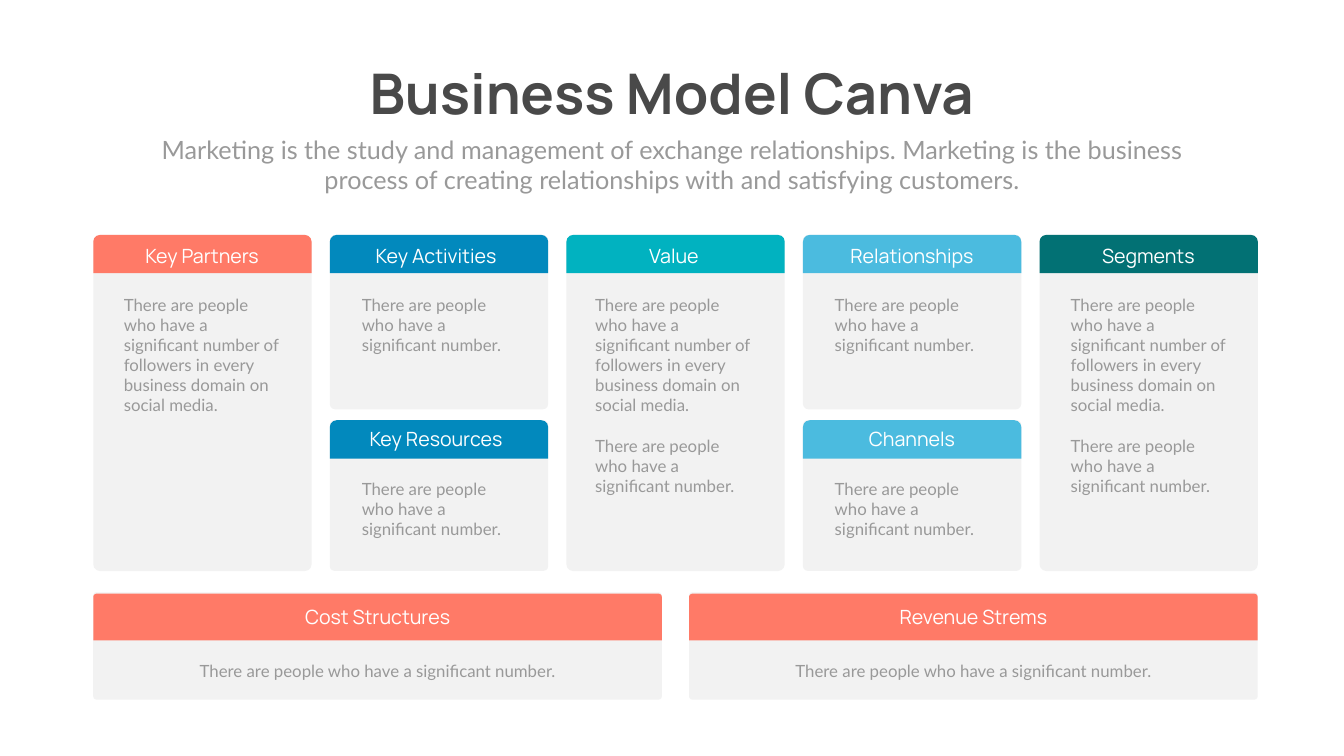
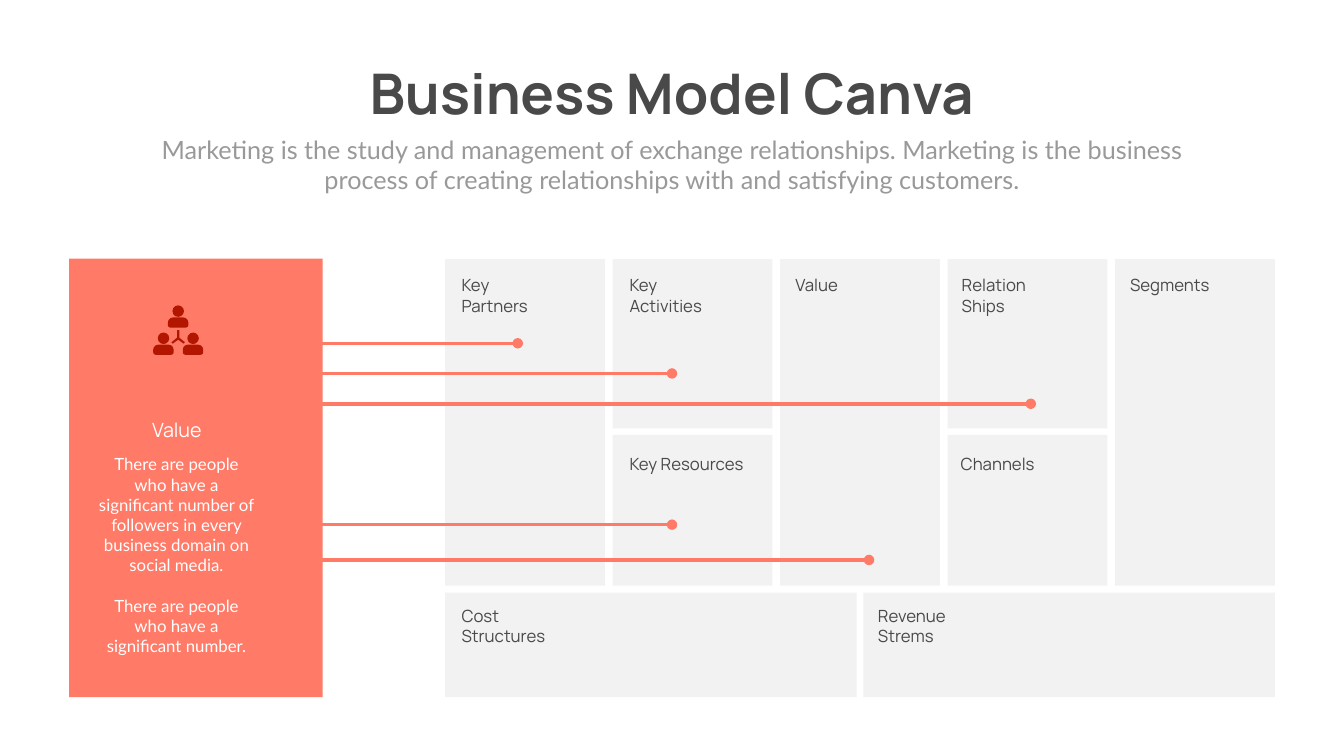
import pptx
import pptx.dml.color
import pptx.enum.shapes
import pptx.enum.text
import pptx.oxml.ns
import pptx.util
from lxml import etree

Cm = pptx.util.Cm
Pt = pptx.util.Pt
RGBColor = pptx.dml.color.RGBColor
SHAPES = pptx.enum.shapes.MSO_SHAPE
ALIGN = pptx.enum.text.PP_ALIGN

WHITE = RGBColor(0xFF, 0xFF, 0xFF)
DARK = RGBColor(0x49, 0x49, 0x49)
GREY = RGBColor(0x99, 0x99, 0x99)
PALE = RGBColor(0xF2, 0xF2, 0xF2)
CORAL = RGBColor(0xFF, 0x7A, 0x67)
BLUE = RGBColor(0x02, 0x89, 0xBD)
TURQUOISE = RGBColor(0x01, 0xB2, 0xC0)
SKY = RGBColor(0x4B, 0xBB, 0xDF)
GREEN = RGBColor(0x02, 0x71, 0x74)
RED = RGBColor(0xB3, 0x16, 0x00)

HEADING_FONT = "Manrope"
BODY_FONT = "Lato"
PARAGRAPH_GAP = 29

TITLE = "Business Model Canva"
SUBTITLE = ("Marketing is the study and management of exchange relationships. "
            "Marketing is the business process of creating relationships with "
            "and satisfying customers.")
LONG = ("There are people who have a significant number of followers in every "
        "business domain on social media.")
SHORT = "There are people who have a significant number."


def add_text(slide, box, paragraphs, size, font, color, align=ALIGN.LEFT, bold=False):
    frame = slide.shapes.add_textbox(*map(Cm, box)).text_frame
    frame.word_wrap = True
    for index, text in enumerate(paragraphs):
        paragraph = frame.add_paragraph() if index else frame.paragraphs[0]
        paragraph.alignment = align
        if index:
            paragraph.space_before = Pt(PARAGRAPH_GAP)
        run = paragraph.add_run()
        run.text = text
        run.font.size = Pt(size)
        run.font.name = font
        run.font.bold = bold
        run.font.color.rgb = color


def paint(shape, color):
    shape.shadow.inherit = False
    shape.fill.solid()
    shape.fill.fore_color.rgb = color
    shape.line.fill.background()


def add_block(slide, kind, box, color, adjustments=()):
    shape = slide.shapes.add_shape(kind, *map(Cm, box))
    for index, value in enumerate(adjustments):
        shape.adjustments[index] = value
    paint(shape, color)


def add_panel(slide, box, color=PALE, rounding=0):
    add_block(slide, SHAPES.ROUNDED_RECTANGLE, box, color, [rounding])


def add_card(slide, box, header_box, header_rounding, color):
    add_panel(slide, box, rounding=0.031)
    add_block(slide, SHAPES.ROUND_2_SAME_RECTANGLE, header_box, color, [header_rounding, 0])


def add_label(slide, box, text):
    add_text(slide, box, [text], 28, HEADING_FONT, WHITE, ALIGN.CENTER)


def add_pointer(slide, start, end, top):
    connector = slide.shapes.add_connector(
        pptx.enum.shapes.MSO_CONNECTOR.STRAIGHT, Cm(start), Cm(top), Cm(end), Cm(top))
    connector.line.color.rgb = CORAL
    connector.line.width = Pt(5)
    qn = pptx.oxml.ns.qn
    etree.SubElement(connector.line._get_or_add_ln(), qn("a:tailEnd"), type="oval")
    etree.SubElement(connector._element.spPr, qn("a:effectLst"))


def add_team_icon(slide):
    for left, top in [(8.69, 15.39), (7.95, 16.76), (9.44, 16.76)]:
        add_block(slide, SHAPES.OVAL, (left, top, 0.58, 0.58), RED)
        add_block(slide, SHAPES.ROUND_2_SAME_RECTANGLE,
                  (left - 0.23, top + 0.61, 1.03, 0.51), RED, [0.5, 0.25])
    first, *others = [
        (Cm(x), Cm(y)) for x, y in [
            (8.92, 16.64), (9.04, 16.64), (9.04, 17.02), (9.32, 17.25), (9.25, 17.32),
            (8.98, 17.12), (8.71, 17.32), (8.64, 17.25), (8.92, 17.02)]]
    builder = slide.shapes.build_freeform(*first)
    builder.add_line_segments(others)
    paint(builder.convert_to_shape(), RED)


def add_slide(presentation):
    slide = presentation.slides.add_slide(presentation.slide_layouts[6])
    add_text(slide, (17.09, 2.84, 33.53, 3.68), [TITLE], 80, HEADING_FONT, DARK,
             ALIGN.CENTER, True)
    add_text(slide, (7.42, 6.63, 52.88, 3.33), [SUBTITLE], 36, BODY_FONT, GREY, ALIGN.CENTER)
    return slide


def build_card_canvas(presentation):
    slide = add_slide(presentation)
    left, pitch, width = 4.7, 11.92, 11
    full = (11.84, 16.94, 12.17, 14.71)
    upper = (11.84, 8.79, 12.17, 14.71)
    lower = (21.18, 7.59, 21.41, 23.98)
    cards = [
        (0, full, "Key Partners", CORAL, 6.32, 5.99, [LONG], 6.4),
        (1, upper, "Key Activities", BLUE, 18.11, 17.98, [SHORT], 3.33),
        (1, lower, "Key Resources", BLUE, 18.11, 17.98, [SHORT], 3.33),
        (2, full, "Value", TURQUOISE, 30.1, 29.74, [LONG, SHORT], 10.52),
        (3, upper, "Relationships", SKY, 42.09, 41.81, [SHORT], 3.33),
        (3, lower, "Channels", SKY, 42.09, 41.81, [SHORT], 3.33),
        (4, full, "Segments", GREEN, 54, 53.7, [LONG, SHORT], 10.52),
    ]
    for column, row, title, color, label_left, body_left, body, body_height in cards:
        top, height, label_top, body_top = row
        x = left + column * pitch
        add_card(slide, (x, top, width, height), (x, top, width, 1.93), 0.176, color)
        add_label(slide, (label_left, label_top, 7.72, 1.45), title)
        add_text(slide, (body_left, body_top, 8.38, body_height), body, 24, BODY_FONT, GREY)

    for index, title in enumerate(["Cost Structures", "Revenue Strems"]):
        shift = index * 30.02
        x = left + shift
        add_card(slide, (x, 29.85, 28.65, 5.41), (x, 29.92, 28.65, 2.36), 0.07, CORAL)
        add_label(slide, (13.13 + shift, 30.38, 11.79, 1.45), title)
        add_text(slide, (9.22 + shift, 33.15, 19.61, 1.27), [SHORT], 24, BODY_FONT, GREY,
                 ALIGN.CENTER)


def build_value_canvas(presentation):
    slide = add_slide(presentation)
    left, pitch, width = 22.43, 8.44, 8.05
    full = (13.06, 16.46, 13.74)
    upper = (13.06, 8.53, 13.74)
    lower = (21.92, 7.59, 22.76)
    bottom = (29.87, 5.26, 30.38)
    wide = 20.73
    cells = [
        (left, width, full, "Key Partners", 23.01, 5.28, 2.31),
        (left + pitch, width, upper, "Key Activities", 31.47, 5.26, 2.31),
        (left + pitch, width, lower, "Key Resources", 31.47, 6.35, 2.31),
        (left + 2 * pitch, width, full, "Value", 39.83, 4.17, 1.27),
        (left + 3 * pitch, width, upper, "Relation Ships", 48.21, 5.26, 2.31),
        (left + 3 * pitch, width, lower, "Channels", 48.16, 6.99, 1.27),
        (left + 4 * pitch, width, full, "Segments", 56.69, 6.93, 1.27),
        (left, wide, bottom, "Cost Structures", 23.01, 5.79, 2.31),
        (left + 21.08, wide, bottom, "Revenue Strems", 43.99, 5.79, 2.31),
    ]
    for x, cell_width, row, title, text_left, text_width, text_height in cells:
        top, height, text_top = row
        add_panel(slide, (x, top, cell_width, height))
        add_text(slide, (text_left, text_top, text_width, text_height), [title], 24,
                 HEADING_FONT, DARK)

    add_panel(slide, (3.48, 13.03, 12.78, 22.1), CORAL)
    add_label(slide, (5.05, 20.93, 7.72, 1.45), "Value")
    add_text(slide, (4.7, 22.76, 8.38, 10.52), [LONG, SHORT], 24, BODY_FONT, WHITE,
             ALIGN.CENTER)
    add_team_icon(slide)
    pointers = [(26.09, 17.3), (33.86, 18.82), (51.94, 20.35), (33.86, 26.44), (43.79, 28.22)]
    for end, top in pointers:
        add_pointer(slide, 16.23, end, top)


def main():
    presentation = pptx.Presentation()
    presentation.slide_width = Cm(67.72)
    presentation.slide_height = Cm(38.1)
    build_card_canvas(presentation)
    build_value_canvas(presentation)
    presentation.save("out.pptx")


if __name__ == "__main__":
    main()
